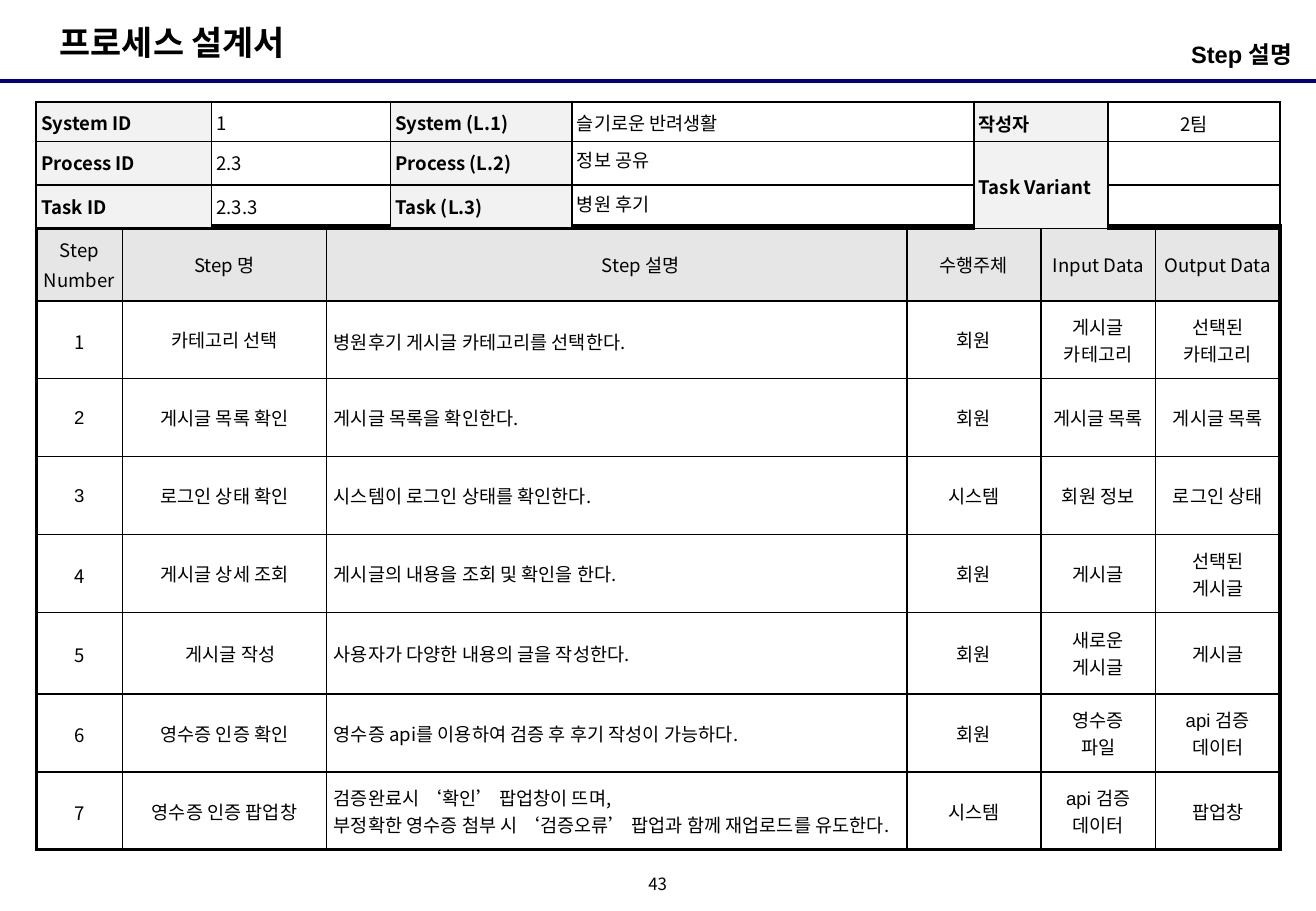
from lxml.etree import SubElement
from pptx import Presentation
from pptx.dml.color import RGBColor
from pptx.enum.shapes import MSO_CONNECTOR as Connector
from pptx.enum.text import MSO_ANCHOR as Anchor, PP_ALIGN as Align
from pptx.oxml.ns import qn
from pptx.util import Cm, Pt

# Content
TITLE = "프로세스 설계서"
SUBTITLE = "Step 설명"
PAGE_NUMBER = "43"

SUMMARY = [
    ("System ID", "1", "System (L.1)", "슬기로운 반려생활", "작성자", "2팀"),
    ("Process ID", "2.3", "Process (L.2)", "정보 공유", "Task Variant", ""),
    ("Task ID", "2.3.3", "Task (L.3)", "병원 후기", "", ""),
]
STEPS = [
    ("Step Number", "Step 명", "Step 설명", "수행주체", "Input Data", "Output Data"),
    ("1", "카테고리 선택", "병원후기 게시글 카테고리를 선택한다.", "회원",
     "게시글\n카테고리", "선택된\n카테고리"),
    ("2", "게시글 목록 확인", "게시글 목록을 확인한다.", "회원", "게시글 목록", "게시글 목록"),
    ("3", "로그인 상태 확인", "시스템이 로그인 상태를 확인한다.", "시스템",
     "회원 정보", "로그인 상태"),
    ("4", "게시글 상세 조회", "게시글의 내용을 조회 및 확인을 한다.", "회원",
     "게시글", "선택된\n게시글"),
    ("5", "게시글 작성", "사용자가 다양한 내용의 글을 작성한다.", "회원",
     "새로운\n게시글", "게시글"),
    ("6", "영수증 인증 확인", "영수증 api를 이용하여 검증 후 후기 작성이 가능하다.", "회원",
     "영수증\n파일", "api 검증 데이터"),
    ("7", "영수증 인증 팝업창",
     "검증완료시 ‘확인’ 팝업창이 뜨며,\n"
     "부정확한 영수증 첨부 시 ‘검증오류’ 팝업과 함께 재업로드를 유도한다.",
     "시스템", "api 검증 데이터", "팝업창"),
]

# Format
SANS, ARIAL = "Noto Sans CJK KR", "Arial"
BLACK, NAVY, LABEL_FILL, HEADER_FILL = "000000", "000080", "F2F2F2", "E6E6E6"
SUMMARY_COLUMNS = (3.66, 3.74, 3.8, 8.4, 2.8, 3.6)
SUMMARY_ROWS = (0.83, 0.91, 0.91)
STEP_COLUMNS = (1.8, 4.27, 12.13, 2.8, 2.4, 2.6)
STEP_ROWS = (1.57, 1.63, 1.63, 1.63, 1.63, 1.7, 1.63, 1.63)
TABLE_LEFT = 0.76
INDENTS = {"Step 설명": 1, "게시글 작성": 0.25}


def color(value):
    return RGBColor.from_string(value)


def write(frame, text, size=11, font=SANS, bold=False, align=Align.LEFT,
          anchor=Anchor.TOP, spacing=1.0, indent=0, insets=None):
    frame.word_wrap = True
    frame.vertical_anchor = anchor
    if insets:
        (frame.margin_left, frame.margin_top,
         frame.margin_right, frame.margin_bottom) = map(Cm, insets)
    for number, line in enumerate(text.split("\n")):
        para = frame.add_paragraph() if number else frame.paragraphs[0]
        para.alignment = align
        para.line_spacing = spacing
        para.space_before = Pt(0)
        if indent:
            para._p.get_or_add_pPr().set("marL", str(Cm(indent)))
        if line:
            span = para.add_run()
            span.text = line
            span.font.size = Pt(size)
            span.font.name = font
            span.font.bold = bold
            span.font.color.rgb = color(BLACK)
            SubElement(span._r.get_or_add_rPr(), qn("a:ea"), typeface=SANS)
        else:
            SubElement(para._p, qn("a:endParaRPr"), sz=str(size * 100))


def place(shape, left, top, width, height):
    shape.left, shape.top, shape.width, shape.height = map(Cm, (left, top, width, height))


def set_borders(cell, widths):
    for side, width in zip("LRTB", widths):
        line = SubElement(cell._tc.get_or_add_tcPr(), qn(f"a:ln{side}"), w=str(Pt(width)))
        SubElement(SubElement(line, qn("a:solidFill")), qn("a:srgbClr"), val=BLACK)


def add_grid(page, top, columns, rows, content, frame_width, cell_format):
    """Draw a table with thin inner lines; cell_format gives fill, insets and text format."""
    table = page.shapes.add_table(len(rows), len(columns), Cm(TABLE_LEFT), Cm(top),
                                  Cm(sum(columns)), Cm(sum(rows))).table
    table.first_row = table.horz_banding = False
    for column, width in zip(table.columns, columns):
        column.width = Cm(width)
    for row, height in zip(table.rows, rows):
        row.height = Cm(height)
    last_row, last_column = len(rows) - 1, len(columns) - 1
    for r, values in enumerate(content):
        for c, text in enumerate(values):
            cell = table.cell(r, c)
            fill, (side, edge), anchor, options = cell_format(r, c, text)
            outer = (c == 0, c == last_column, r == 0, r == last_row)
            set_borders(cell, [frame_width if is_outer else 1 for is_outer in outer])
            if fill:
                cell.fill.solid()
                cell.fill.fore_color.rgb = color(fill)
            else:
                cell.fill.background()
            cell.margin_left = cell.margin_right = Cm(side)
            cell.margin_top = cell.margin_bottom = Cm(edge)
            write(cell.text_frame, text, **options)
            cell.vertical_anchor = anchor
    return table


def summary_format(r, c, text):
    label = c % 2 == 0
    options = dict(bold=label, align=Align.CENTER if c == 5 else Align.LEFT,
                   spacing=1.0 if c == 3 and r else 1.1)
    anchor = Anchor.MIDDLE if c >= 4 else Anchor.TOP
    return LABEL_FILL if label else None, (0.1, 0.1), anchor, options


def step_format(r, c, text):
    header = r == 0
    arial = r and (c > 2 or (c == 0 and r in (2, 3)))
    options = dict(font=ARIAL if arial else SANS,
                   align=Align.LEFT if c == 2 and not header else Align.CENTER,
                   spacing=1.1 if header or (c == 0 and not arial) or (r, c) == (1, 2) else 1.0,
                   indent=INDENTS.get(text, 0))
    return HEADER_FILL if header else None, (0.15, 0.1), Anchor.MIDDLE, options


def main():
    deck = Presentation()
    deck.slide_width, deck.slide_height = Cm(27.51), Cm(19.05)
    page = deck.slides.add_slide(deck.slide_layouts[2])

    # Heading
    title, subtitle = page.placeholders
    place(title, 1, 0.33, 6.5, 1.12)
    write(title.text_frame, TITLE, size=20, font=ARIAL, bold=True,
          insets=(0.25, 0.13, 0.25, 0.13))
    place(subtitle, 18.77, 0.71, 8.4, 1)
    write(subtitle.text_frame, SUBTITLE, size=14, font=ARIAL, bold=True,
          align=Align.RIGHT, insets=(0, 0.13, 0.15, 0.13))
    rule = page.shapes.add_connector(Connector.STRAIGHT, 0, Cm(1.7), deck.slide_width, Cm(1.7))
    rule.line.color.rgb = color(NAVY)
    rule.line.width = Pt(2.25)
    SubElement(rule._element.spPr, qn("a:effectLst"))

    # Tables
    add_grid(page, 4.72, STEP_COLUMNS, STEP_ROWS, STEPS, 2.25, step_format)
    summary = add_grid(page, 2.13, SUMMARY_COLUMNS, SUMMARY_ROWS, SUMMARY, 1.5, summary_format)
    summary.cell(1, 4).merge(summary.cell(2, 4))

    # Page number
    box = page.shapes.add_textbox(Cm(13.33), Cm(18.2), Cm(0.84), Cm(0.64))
    write(box.text_frame, PAGE_NUMBER, size=10, align=Align.CENTER, anchor=Anchor.MIDDLE,
          spacing=0.8, insets=(0, 0, 0, 0))

    deck.save("out.pptx")


if __name__ == "__main__":
    main()
